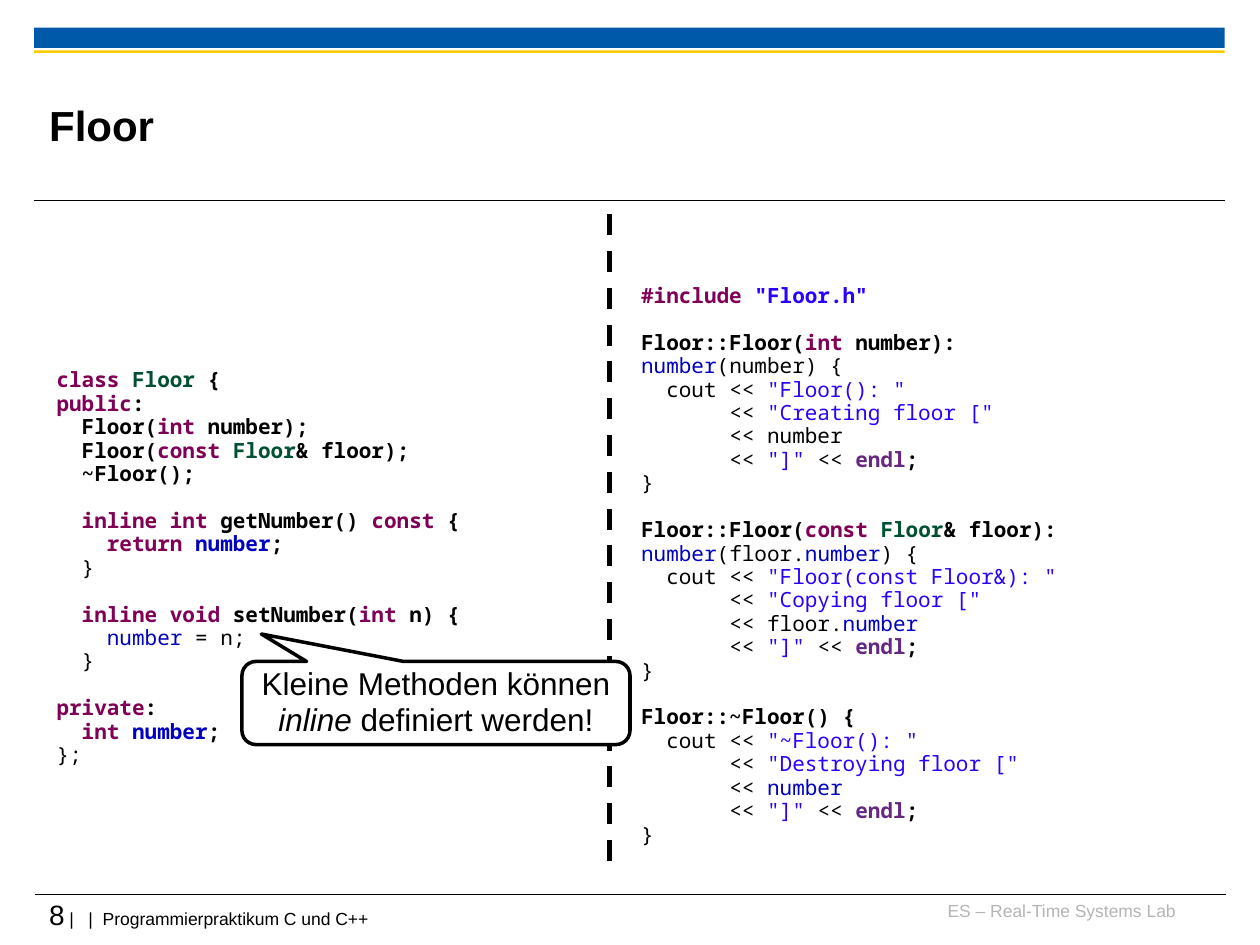
from dataclasses import dataclass
from functools import partial

from pptx import Presentation
from pptx.dml.color import RGBColor
from pptx.enum.dml import MSO_LINE
from pptx.enum.shapes import MSO_CONNECTOR, MSO_SHAPE
from pptx.enum.text import MSO_ANCHOR, PP_ALIGN
from pptx.oxml.ns import qn
from pptx.util import Inches, Pt


@dataclass(frozen=True)
class Theme:
    black: str = "000000"
    white: str = "FFFFFF"
    blue: str = "005AA9"
    yellow: str = "FDCA00"
    gray: str = "B5B5B5"
    keyword: str = "7F0055"
    type_name: str = "005032"
    field: str = "0000C0"
    string: str = "2A00FF"
    manipulator: str = "642880"
    text_font: str = "Arial"
    code_font: str = "Noto Sans Mono"
    title_size: int = 24
    callout_size: int = 18
    number_size: int = 16
    code_size: int = 12
    footer_size: int = 10
    line_spacing: float = 0.93
    code_line: float = 13.4
    code_column: float = 0.1


THEME = Theme()


@dataclass(frozen=True)
class Span:
    text: str
    color: str = THEME.black
    bold: bool = False
    italic: bool = False
    size: int = THEME.code_size
    font: str = THEME.code_font


plain = Span
strong = partial(Span, bold=True)
keyword = partial(Span, color=THEME.keyword, bold=True)
type_name = partial(Span, color=THEME.type_name, bold=True)
field = partial(Span, color=THEME.field)
string = partial(Span, color=THEME.string)
manipulator = partial(Span, color=THEME.manipulator, bold=True)
label = partial(Span, font=THEME.text_font)


def output_body(signature, action, *subject):
    return [
        (2, plain("cout << "), string(f'"{signature}: "')),
        (7, plain("<< "), string(f'"{action} floor ["')),
        (7, plain("<< "), *subject),
        (7, plain("<< "), string('"]"'), plain(" << "), manipulator("endl"), strong(";")),
        (0, plain("}")),
    ]


HEADER_CODE = [
    [
        (0, keyword("class "), type_name("Floor"), strong(" {")),
        (0, keyword("public"), strong(":")),
        (2, strong("Floor("), keyword("int"), strong(" number);")),
        (2, strong("Floor("), keyword("const "), type_name("Floor"), strong("& floor);")),
        (2, strong("~Floor();")),
    ],
    [
        (2, keyword("inline int"), strong(" getNumber() "), keyword("const"), strong(" {")),
        (4, keyword("return "), field("number", bold=True), strong(";")),
        (2, plain("}")),
    ],
    [
        (2, keyword("inline void"), strong(" setNumber("), keyword("int"), strong(" n) {")),
        (4, field("number"), plain(" = n;")),
        (2, plain("}")),
    ],
    [
        (0, keyword("private"), strong(":")),
        (2, keyword("int "), field("number", bold=True), strong(";")),
        (0, plain("};")),
    ],
]

SOURCE_CODE = [
    [(0, keyword("#include "), string('"Floor.h"', bold=True))],
    [
        (0, strong("Floor::Floor("), keyword("int"), strong(" number):")),
        (0, field("number"), plain("(number) {")),
        *output_body("Floor()", "Creating", plain("number")),
    ],
    [
        (0, strong("Floor::Floor("), keyword("const "), type_name("Floor"), strong("& floor):")),
        (0, field("number"), plain("(floor."), field("number"), plain(") {")),
        *output_body("Floor(const Floor&)", "Copying", plain("floor."), field("number")),
    ],
    [
        (0, strong("Floor::~Floor() {")),
        *output_body("~Floor()", "Destroying", field("number")),
    ],
]


def write_spans(para, spans):
    for span in spans:
        run = para.add_run()
        run.text = span.text
        font = run.font
        font.name = span.font
        font.size = Pt(span.size)
        font.bold = span.bold
        font.italic = span.italic
        font.color.rgb = RGBColor.from_string(span.color)


def add_text_box(page, left, top, width, height, margins=(0, 0)):
    box = page.shapes.add_textbox(Inches(left), Inches(top), Inches(width), Inches(height))
    frame = box.text_frame
    frame.word_wrap = True
    frame.margin_left = frame.margin_right = Inches(margins[0])
    frame.margin_top = frame.margin_bottom = Inches(margins[1])
    return frame


def add_label(page, left, top, width, height, *spans):
    frame = add_text_box(page, left, top, width, height)
    write_spans(frame.paragraphs[0], spans)
    return frame


def add_listing(page, left, top, width, height, blocks):
    frame = add_text_box(page, left, top, width, height, (0.1, 0.05))
    para = frame.paragraphs[0]
    for block_index, block in enumerate(blocks):
        for line_index, (columns, *spans) in enumerate(block):
            if block_index or line_index:
                para = frame.add_paragraph()
            para.line_spacing = THEME.line_spacing
            if block_index and line_index == 0:
                para.space_before = Pt(THEME.code_line)
            properties = para._p.get_or_add_pPr()
            properties.set("marL", str(Inches(columns * THEME.code_column)))
            properties.set("indent", "0")
            write_spans(para, spans)


def add_bar(page, left, top, width, height, color):
    bar = page.shapes.add_shape(
        MSO_SHAPE.RECTANGLE, Inches(left), Inches(top), Inches(width), Inches(height))
    bar.shadow.inherit = False
    bar.fill.solid()
    bar.fill.fore_color.rgb = RGBColor.from_string(color)
    bar.line.fill.background()


def add_line(page, start, end, width, dash=None):
    line = page.shapes.add_connector(MSO_CONNECTOR.STRAIGHT, *map(Inches, start + end))
    line.line.color.rgb = RGBColor.from_string(THEME.black)
    line.line.width = Pt(width)
    if dash:
        line.line.dash_style = dash
    properties = line._element.spPr
    properties.append(properties.makeelement(qn("a:effectLst"), {}))


def add_callout(page, left, top, width, height, adjustments, *spans):
    callout = page.shapes.add_shape(
        MSO_SHAPE.ROUNDED_RECTANGULAR_CALLOUT,
        Inches(left), Inches(top), Inches(width), Inches(height))
    for index, value in enumerate(adjustments):
        callout.adjustments[index] = value
    callout.shadow.inherit = False
    callout.fill.solid()
    callout.fill.fore_color.rgb = RGBColor.from_string(THEME.white)
    callout.line.color.rgb = RGBColor.from_string(THEME.black)
    callout.line.width = Pt(2)
    frame = callout.text_frame
    frame.word_wrap = True
    frame.vertical_anchor = MSO_ANCHOR.MIDDLE
    para = frame.paragraphs[0]
    para.alignment = PP_ALIGN.CENTER
    para.line_spacing = THEME.line_spacing
    write_spans(para, spans)


def main():
    deck = Presentation()
    deck.slide_width, deck.slide_height = Inches(10), Inches(7.5)
    page = deck.slides.add_slide(deck.slide_layouts[6])

    add_line(page, (0.28, 7.1), (9.73, 7.1), 0.6)
    add_bar(page, 0.27, 0.22, 9.45, 0.16, THEME.blue)
    add_line(page, (0.27, 1.59), (9.72, 1.59), 0.6)
    add_bar(page, 0.27, 0.4, 9.45, 0.02, THEME.yellow)

    lab = add_label(page, 7.36, 7.14, 1.97, 0.25, label(
        "ES – Real-Time Systems Lab", color=THEME.gray, size=THEME.footer_size))
    lab.paragraphs[0].alignment = PP_ALIGN.RIGHT
    lab.paragraphs[0].space_before = Pt(6.2)
    add_label(page, 0.39, 7.12, 9.33, 0.33,
              label("8", size=THEME.number_size),
              label(" |   |  Programmierpraktikum C und C++", size=THEME.footer_size))

    add_line(page, (4.84, 1.7), (4.84, 6.95), 3, MSO_LINE.DASH)
    title = add_label(page, 0.39, 0.53, 7.52, 0.92,
                      label("Floor", size=THEME.title_size, bold=True))
    title.vertical_anchor = MSO_ANCHOR.MIDDLE
    add_listing(page, 0.35, 2.88, 4.41, 3.26, HEADER_CODE)
    add_listing(page, 4.99, 2.21, 5, 4.56, SOURCE_CODE)
    add_callout(page, 1.92, 5.25, 3.08, 0.66, (-0.45, -0.83, 0.17),
                label("Kleine Methoden können ", size=THEME.callout_size),
                label("inline", size=THEME.callout_size, italic=True),
                label(" definiert werden!", size=THEME.callout_size))

    deck.save("out.pptx")


if __name__ == "__main__":
    main()
